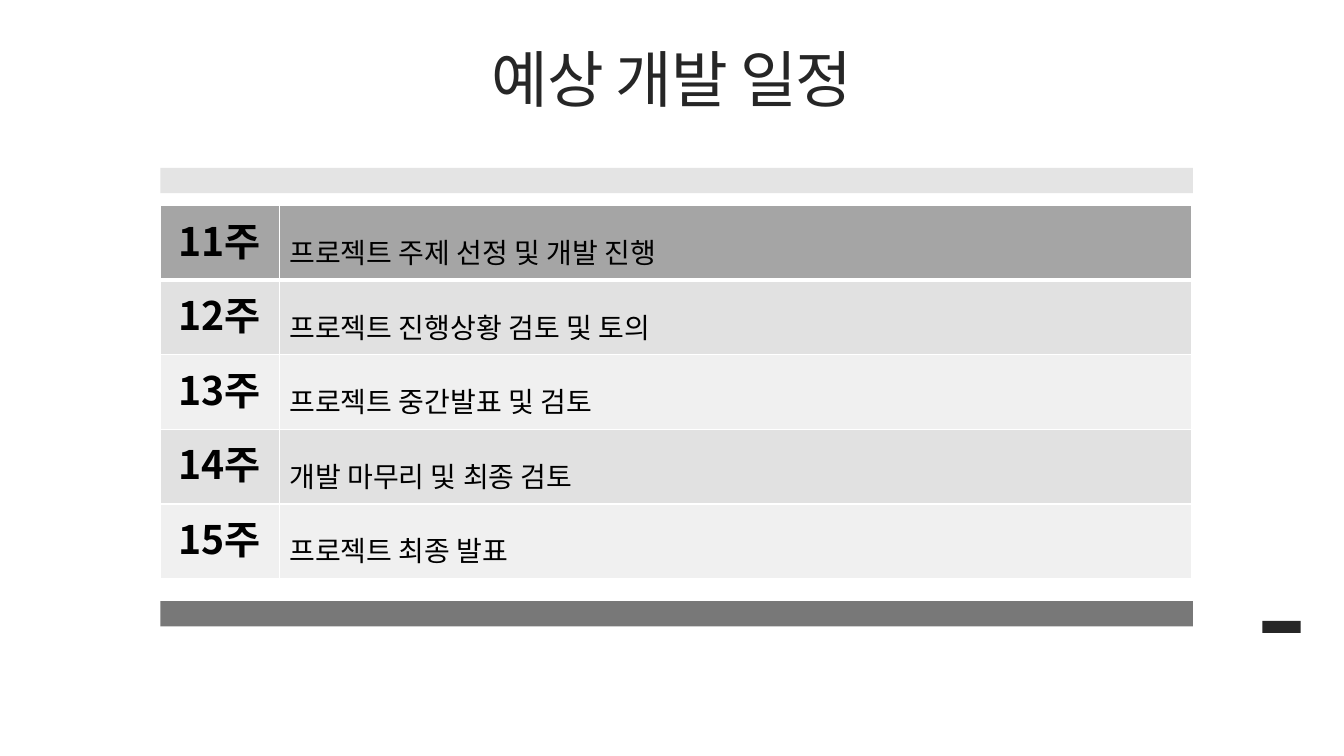
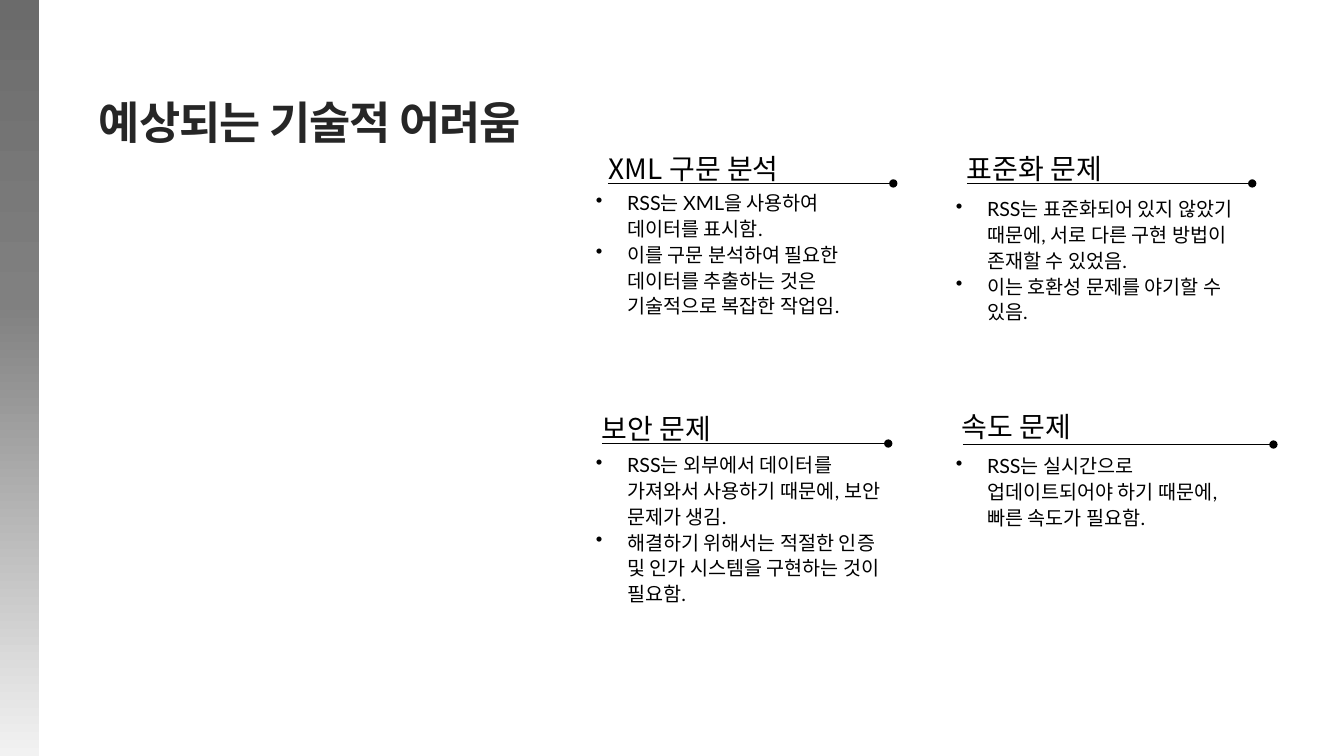
from lxml.etree import SubElement
from copy import deepcopy
from pptx import Presentation
from pptx.dml.color import RGBColor
from pptx.enum.shapes import MSO_CONNECTOR as Connector, MSO_SHAPE as Shape
from pptx.enum.text import MSO_ANCHOR as Anchor, MSO_AUTO_SIZE as AutoSize, PP_ALIGN as Align
from pptx.oxml.ns import qn
from pptx.util import Inches, Pt

BLACK = RGBColor(0x00, 0x00, 0x00)
WHITE = RGBColor(0xFF, 0xFF, 0xFF)
INK = RGBColor(0x26, 0x26, 0x26)
BAND_LIGHT = RGBColor(0xD9, 0xD9, 0xD9)
BAND_DARK = RGBColor(0x40, 0x40, 0x40)
ROW_HEAD = RGBColor(0xA5, 0xA5, 0xA5)
ROW_ODD = RGBColor(0xE1, 0xE1, 0xE1)
ROW_EVEN = RGBColor(0xF0, 0xF0, 0xF0)
SIDE_STOPS = [
    (0, RGBColor(0x6B, 0x6B, 0x6B)),
    (0.4, RGBColor(0x80, 0x80, 0x80)),
    (1, RGBColor(0xF2, 0xF2, 0xF2)),
]
KOREAN = "Noto Sans CJK KR"
LATIN = "Lato"

SCHEDULE = [
    ("11주", "프로젝트 주제 선정 및 개발 진행"),
    ("12주", "프로젝트 진행상황 검토 및 토의"),
    ("13주", "프로젝트 중간발표 및 검토"),
    ("14주", "개발 마무리 및 최종 검토"),
    ("15주", "프로젝트 최종 발표"),
]
DIFFICULTIES = [
    ("XML 구문 분석", (5.98, 1.48, 2), (6.03, 8.86, 1.82), (5.91, 1.87, 1.28), [
        "RSS는 XML을 사용하여 데이터를 표시함.",
        "이를 구문 분석하여 필요한 데이터를 추출하는 것은 기술적으로 복잡한 작업임.",
    ]),
    ("표준화 문제", (9.53, 1.48, 1.62), (9.59, 12.42, 1.82), (9.48, 1.93, 1.53), [
        "RSS는 표준화되어 있지 않았기 때문에, 서로 다른 구현 방법이 존재할 수 있었음.",
        "이는 호환성 문제를 야기할 수 있음.",
    ]),
    ("보안 문제", (5.91, 4.06, 1.34), (5.97, 8.81, 4.4), (5.91, 4.47, 1.54), [
        "RSS는 외부에서 데이터를 가져와서 사용하기 때문에, 보안 문제가 생김.",
        "해결하기 위해서는 적절한 인증 및 인가 시스템을 구현하는 것이 필요함.",
    ]),
    ("속도 문제", (9.48, 4.04, 1.34), (9.55, 12.63, 4.41), (9.48, 4.48, 0.76), [
        "RSS는 실시간으로 업데이트되어야 하기 때문에, 빠른 속도가 필요함.",
    ]),
]


class Deck:
    """Holds the shared style and the current slide."""

    def __init__(self):
        self.presentation = Presentation()
        self.presentation.slide_width = Inches(13.33)
        self.presentation.slide_height = Inches(7.5)
        self.slide = None

    def add_slide(self):
        self.slide = self.presentation.slides.add_slide(self.presentation.slide_layouts[6])

    def style(self, paragraph, size, color=BLACK, bold=False, font=KOREAN, spacing=None):
        for run in paragraph.runs:
            run.font.size = Pt(size)
            run.font.bold = bold
            run.font.color.rgb = color
            run.font.name = font
            properties = run.font._element
            SubElement(properties, qn("a:ea")).set("typeface", KOREAN)
            if spacing:
                properties.set("spc", str(round(spacing * 100)))

    def text(self, text, left, top, width, height, inset=(0, 0), wrap=True):
        box = self.slide.shapes.add_textbox(*map(Inches, (left, top, width, height)))
        frame = box.text_frame
        frame.margin_left = frame.margin_right = Inches(inset[0])
        frame.margin_top = frame.margin_bottom = Inches(inset[1])
        frame.word_wrap = wrap
        frame.auto_size = AutoSize.NONE
        frame.text = text
        return frame

    def title(self, text, left, top, width, height, size, bold=False, align=Align.LEFT):
        frame = self.text(text, left, top, width, height)
        frame.vertical_anchor = Anchor.MIDDLE
        frame.paragraphs[0].alignment = align
        self.style(frame.paragraphs[0], size, INK, bold, spacing=-0.7)

    def heading(self, text, left, top, width):
        frame = self.text(text, left, top, width, 0.38, (0.06, 0.02), wrap=False)
        self.style(frame.paragraphs[0], 20)

    def bullets(self, items, left, top, height):
        frame = self.text("\n".join(items), left, top, 2.83, height)
        for paragraph in frame.paragraphs:
            properties = paragraph._p.get_or_add_pPr()
            properties.set("marL", str(Inches(0.31)))
            properties.set("indent", str(-Inches(0.31)))
            SubElement(properties, qn("a:buChar")).set("char", "•")
            paragraph.line_spacing = 1.1
            self.style(paragraph, 14, font=LATIN)

    def line(self, left, right, top, color, width, opacity=None, dot=False):
        connector = self.slide.shapes.add_connector(
            Connector.STRAIGHT, Inches(left), Inches(top), Inches(right), Inches(top))
        connector.line.color.rgb = color
        connector.line.width = Pt(width)
        outline = connector.get_or_add_ln()
        if opacity:
            SubElement(outline.find(".//" + qn("a:srgbClr")), qn("a:alpha")).set("val", str(opacity * 1000))
        if dot:
            SubElement(outline, qn("a:tailEnd")).set("type", "oval")
        SubElement(connector._element.spPr, qn("a:effectLst"))

    def rectangle(self, left, top, width, height):
        shape = self.slide.shapes.add_shape(
            Shape.RECTANGLE, *map(Inches, (left, top, width, height)))
        shape.shadow.inherit = False
        shape.line.fill.background()
        return shape

    def mark(self, left, top, width, height):
        fill = self.rectangle(left, top, width, height).fill
        fill.solid()
        fill.fore_color.rgb = INK

    def side_band(self):
        shape = self.rectangle(0, 0, 0.39, 7.5)
        shape.fill.gradient()
        shape.fill.gradient_angle = 270
        stop_list = shape._element.spPr.find(".//" + qn("a:gsLst"))
        stop_list.append(deepcopy(stop_list[0]))
        for stop, (position, color) in zip(shape.fill.gradient_stops, SIDE_STOPS):
            stop.position = position
            stop.color.rgb = color

    def cell(self, cell, text, fill, bottom):
        properties = cell._tc.get_or_add_tcPr()
        for side, width in (("L", 1), ("R", 1), ("T", 1), ("B", bottom)):
            border = SubElement(properties, qn("a:ln" + side))
            border.set("w", str(Pt(width)))
            SubElement(SubElement(border, qn("a:solidFill")), qn("a:srgbClr")).set("val", str(WHITE))
        cell.fill.solid()
        cell.fill.fore_color.rgb = fill
        cell.text_frame.text = text
        return cell.text_frame.paragraphs[0]

    def schedule(self, rows, left, top, widths, row_height):
        table = self.slide.shapes.add_table(
            len(rows), len(widths), Inches(left), Inches(top),
            Inches(sum(widths)), Inches(row_height * len(rows))).table
        table.first_row = table.horz_banding = False
        for column, width in zip(table.columns, widths):
            column.width = Inches(width)
        for index, (week, task) in enumerate(rows):
            table.rows[index].height = Inches(row_height)
            fill = ROW_HEAD if index == 0 else (ROW_EVEN, ROW_ODD)[index % 2]
            bottom = 3 if index == 0 else 1
            paragraph = self.cell(table.cell(index, 0), week, fill, bottom)
            paragraph.alignment = Align.CENTER
            self.style(paragraph, 28, bold=True)
            paragraph = self.cell(table.cell(index, 1), task, fill, bottom)
            paragraph.line_spacing = 1.5
            self.style(paragraph, 20)


def main():
    deck = Deck()

    deck.add_slide()
    deck.title("예상 개발 일정", 3.88, 0.39, 5.57, 0.76, 44, align=Align.CENTER)
    deck.mark(12.52, 6.16, 0.38, 0.12)
    for top, color in ((1.79, BAND_LIGHT), (6.09, BAND_DARK)):
        deck.line(1.59, 11.83, top, color, 18, opacity=70)
    deck.schedule(SCHEDULE, 1.59, 2.04, (1.18, 9.05), 0.74)

    deck.add_slide()
    deck.side_band()
    deck.title("예상되는 기술적 어려움", 0.98, 0.94, 4.93, 0.54, 32, bold=True)
    for heading, heading_place, (start, end, height), bullet_place, items in DIFFICULTIES:
        deck.heading(heading, *heading_place)
        deck.line(start, end, height, BLACK, 0.5, dot=True)
        deck.bullets(items, *bullet_place)

    deck.presentation.save("out.pptx")


if __name__ == "__main__":
    main()
